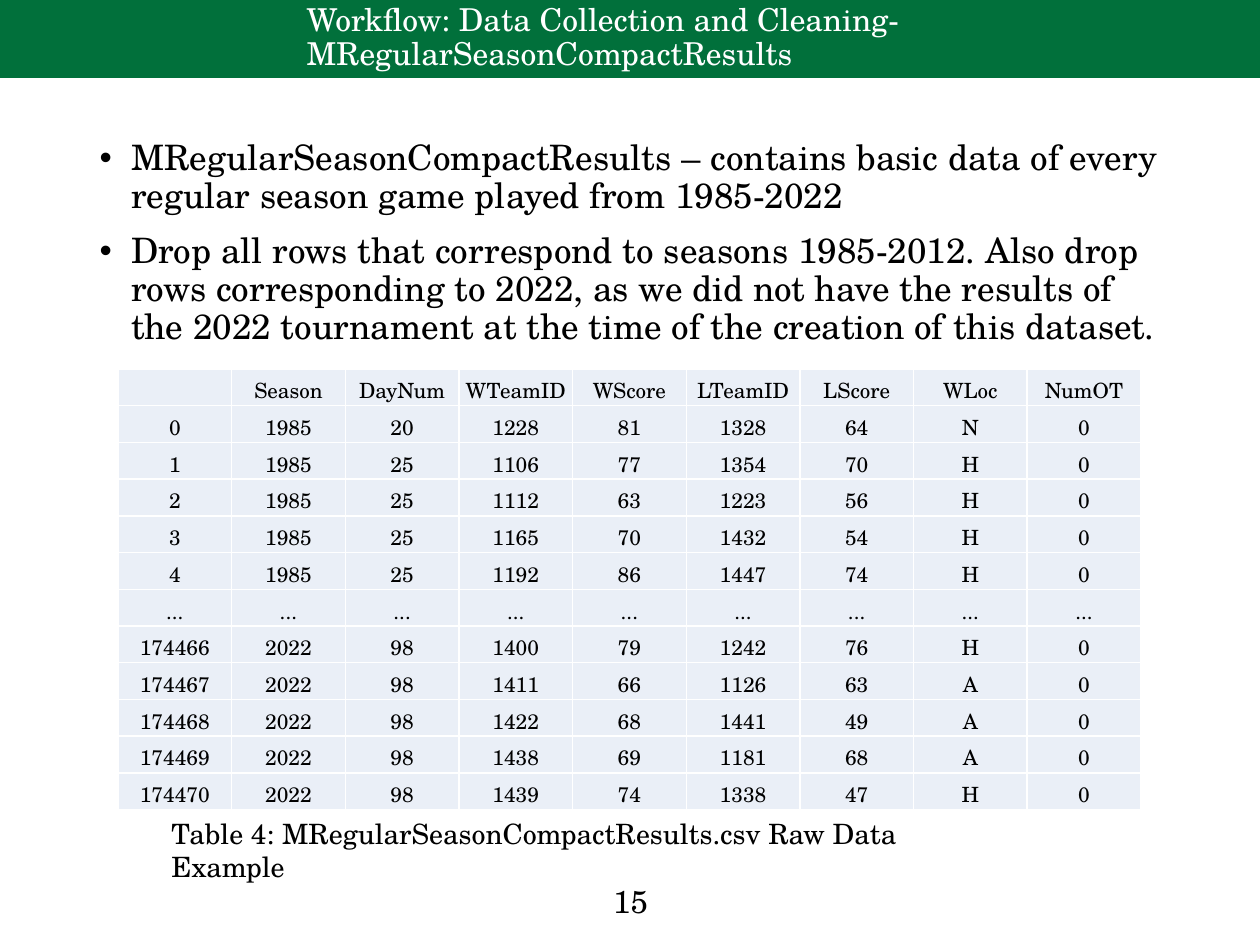
from dataclasses import dataclass

from lxml import etree
from pptx import Presentation
from pptx.dml.color import RGBColor
from pptx.enum.shapes import MSO_SHAPE
from pptx.enum.text import MSO_ANCHOR, MSO_AUTO_SIZE, PP_ALIGN
from pptx.oxml.ns import qn
from pptx.util import Emu, Pt

RECTANGLE = MSO_SHAPE.RECTANGLE
MIDDLE, BOTTOM = MSO_ANCHOR.MIDDLE, MSO_ANCHOR.BOTTOM
LEFT, CENTER = PP_ALIGN.LEFT, PP_ALIGN.CENTER
NO_AUTOFIT = MSO_AUTO_SIZE.NONE
EMU_PER_PX = 914400 / 126


@dataclass(frozen=True)
class Theme:
    font: str = "TeX Gyre Schola"
    band: str = "01703B"
    text: str = "000000"
    light: str = "FFFFFF"
    cell: str = "EAEFF7"
    title_size: int = 18
    body_size: int = 20
    caption_size: int = 16
    number_size: int = 18
    table_size: int = 12


THEME = Theme()

TITLE = "Workflow: Data Collection and Cleaning- MRegularSeasonCompactResults"
BULLETS = [
    "MRegularSeasonCompactResults – contains basic data of every regular "
    "season game played from 1985-2022",
    "Drop all rows that correspond to seasons 1985-2012. Also drop rows "
    "corresponding to 2022, as we did not have the results of the 2022 "
    "tournament at the time of the creation of this dataset.",
]
CAPTION = "Table 4: MRegularSeasonCompactResults.csv Raw Data Example"
COLUMNS = ["", "Season", "DayNum", "WTeamID", "WScore", "LTeamID", "LScore",
           "WLoc", "NumOT"]
GAMES = [line.split() for line in (
    "0 1985 20 1228 81 1328 64 N 0",
    "1 1985 25 1106 77 1354 70 H 0",
    "2 1985 25 1112 63 1223 56 H 0",
    "3 1985 25 1165 70 1432 54 H 0",
    "4 1985 25 1192 86 1447 74 H 0",
    "... ... ... ... ... ... ... ... ...",
    "174466 2022 98 1400 79 1242 76 H 0",
    "174467 2022 98 1411 66 1126 63 A 0",
    "174468 2022 98 1422 68 1441 49 A 0",
    "174469 2022 98 1438 69 1181 68 A 0",
    "174470 2022 98 1439 74 1338 47 H 0",
)]


def px(length):
    return Emu(round(length * EMU_PER_PX))


def place(shape, left, top, width, height):
    shape.left, shape.top = px(left), px(top)
    shape.width, shape.height = px(width), px(height)


def format_paragraph(paragraph, size, color=THEME.text, alignment=LEFT):
    paragraph.alignment = alignment
    for run in paragraph.runs:
        run.font.name = THEME.font
        run.font.size = Pt(size)
        run.font.color.rgb = RGBColor.from_string(color)


def add_band(slide):
    band = slide.shapes.add_shape(RECTANGLE, 0, 0, px(1260), px(78))
    band.shadow.inherit = False
    band.fill.solid()
    band.fill.fore_color.rgb = RGBColor.from_string(THEME.band)
    band.line.fill.background()
    # Behind the placeholders, right after the two group property elements
    slide.shapes._spTree.insert(2, band._element)


def fill_title(title):
    place(title, 294, 1, 966, 75)
    frame = title.text_frame
    frame.text = TITLE
    frame.auto_size = NO_AUTOFIT
    frame.vertical_anchor = MIDDLE
    paragraph = frame.paragraphs[0]
    paragraph.line_spacing = 0.9
    format_paragraph(paragraph, THEME.title_size, THEME.light)


def fill_bullets(body):
    place(body, 87, 134, 1086, 235)
    frame = body.text_frame
    frame.text = "\n".join(BULLETS)
    frame.auto_size = NO_AUTOFIT
    for paragraph in frame.paragraphs:
        paragraph.line_spacing = 0.9
        paragraph.space_before = Pt(10)
        format_paragraph(paragraph, THEME.body_size)
        properties = paragraph._p.get_or_add_pPr()
        indent = px(31.5)
        properties.set("marL", str(indent))
        properties.set("indent", str(-indent))
        etree.SubElement(properties, qn("a:buFont"), typeface="Arial")
        etree.SubElement(properties, qn("a:buChar"), char="•")


def add_text(slide, text, box, size, alignment=LEFT):
    frame = slide.shapes.add_textbox(*map(px, box)).text_frame
    frame.word_wrap = True
    frame.text = text
    format_paragraph(frame.paragraphs[0], size, alignment=alignment)


def add_cell_borders(cell):
    properties = cell._tc.get_or_add_tcPr()
    for side in ("lnL", "lnR", "lnT", "lnB"):
        line = etree.SubElement(properties, qn(f"a:{side}"), w=str(Pt(1)))
        fill = etree.SubElement(line, qn("a:solidFill"))
        etree.SubElement(fill, qn("a:srgbClr"), val=THEME.light)


def fill_cell(cell, text):
    cell.margin_left = cell.margin_right = cell.margin_top = px(1)
    cell.margin_bottom = 0
    cell.vertical_anchor = BOTTOM
    add_cell_borders(cell)
    cell.fill.solid()
    cell.fill.fore_color.rgb = RGBColor.from_string(THEME.cell)
    cell.text_frame.text = text
    paragraph = cell.text_frame.paragraphs[0]
    format_paragraph(paragraph, THEME.table_size, alignment=CENTER)
    # Keeps the empty header cell from stretching its row
    etree.SubElement(paragraph._p, qn("a:endParaRPr"),
                     sz=str(THEME.table_size * 100))


def add_games_table(slide):
    rows = [COLUMNS] + GAMES
    table = slide.shapes.add_table(
        len(rows), len(COLUMNS), px(118), px(369), px(1023), px(441)).table
    table.first_row = table.horz_banding = False
    for row, values in zip(table.rows, rows):
        for cell, value in zip(row.cells, values):
            fill_cell(cell, value)


def main():
    presentation = Presentation()
    presentation.slide_width, presentation.slide_height = px(1260), px(945)
    slide = presentation.slides.add_slide(presentation.slide_layouts[1])
    add_band(slide)
    fill_title(slide.shapes.title)
    fill_bullets(slide.placeholders[1])
    add_text(slide, "15", (489, 876, 283, 50), THEME.number_size, CENTER)
    add_games_table(slide)
    add_text(slide, CAPTION, (159, 810, 848, 47), THEME.caption_size)
    presentation.save("out.pptx")


if __name__ == "__main__":
    main()
